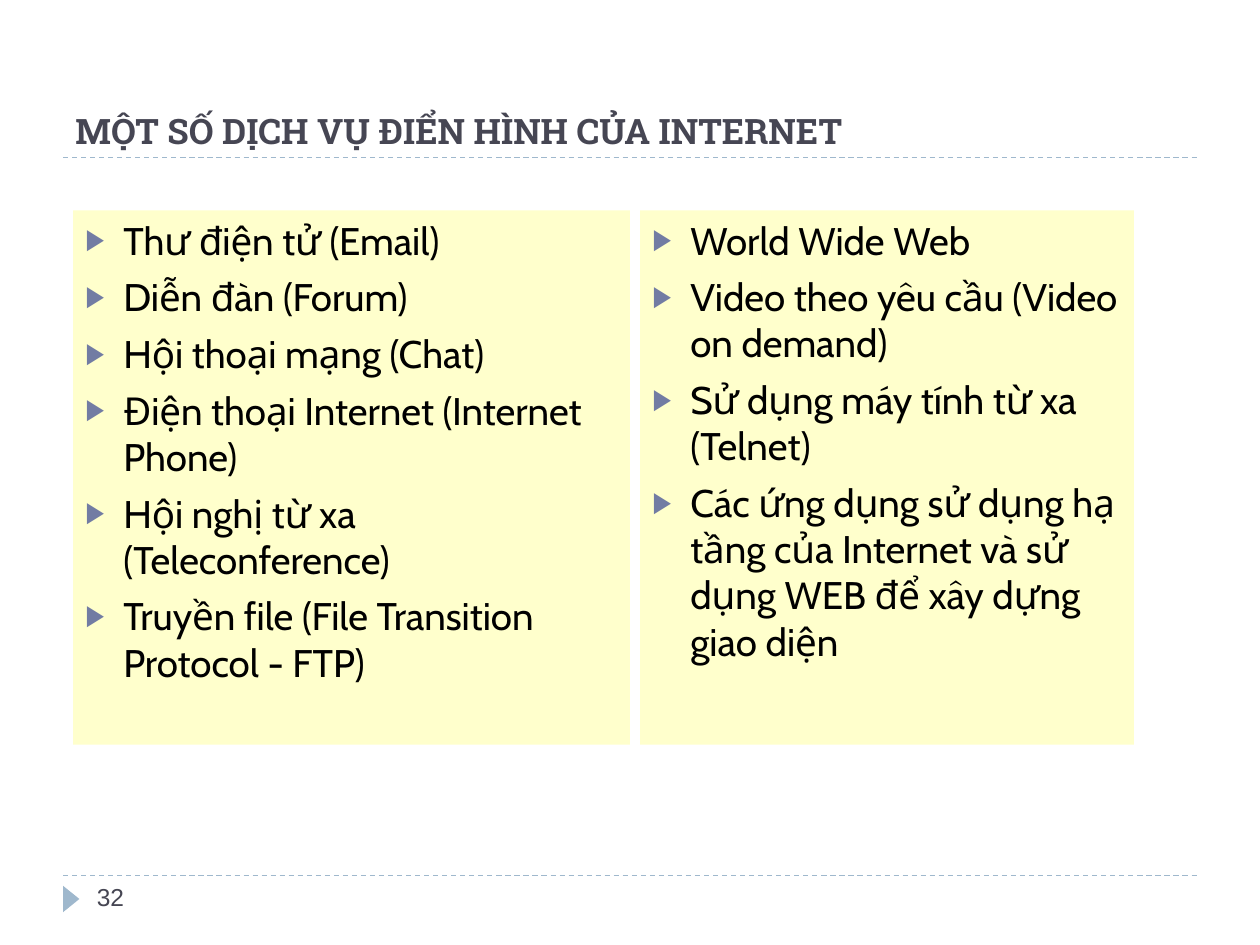
from lxml.etree import SubElement
from pptx import Presentation
from pptx.dml.color import RGBColor
from pptx.enum.dml import MSO_LINE
from pptx.enum.shapes import MSO_CONNECTOR, MSO_SHAPE
from pptx.enum.text import MSO_ANCHOR, PP_ALIGN
from pptx.oxml.ns import qn
from pptx.util import Inches, Pt

INK = RGBColor(0x46, 0x46, 0x53)
BLACK = RGBColor(0, 0, 0)
PALE_BLUE = RGBColor(0x9F, 0xB8, 0xCD)
BULLET = RGBColor(0x72, 0x7C, 0xA3)
CREAM = RGBColor(0xFF, 0xFF, 0xCC)


def write(tf, lines, font, size, color, bold=False, anchor=MSO_ANCHOR.TOP, bullet=False):
    tf.word_wrap = True
    tf.vertical_anchor = anchor
    for i, text in enumerate(lines):
        p = tf.paragraphs[0] if i == 0 else tf.add_paragraph()
        p.alignment = PP_ALIGN.LEFT
        if i:
            p.space_before = Pt(6)
        if bullet:
            pPr = p._p.get_or_add_pPr()
            pPr.set("marL", str(Inches(0.3)))
            pPr.set("indent", str(Inches(-0.3)))
            SubElement(SubElement(pPr, qn("a:buClr")), qn("a:srgbClr"), val=str(BULLET))
            SubElement(pPr, qn("a:buSzPct"), val="76000")
            SubElement(pPr, qn("a:buFont"), typeface="Arial")
            SubElement(pPr, qn("a:buChar"), char="▶")
        r = p.add_run()
        r.text = text
        r.font.name = font
        r.font.size = Pt(size)
        r.font.bold = bold
        r.font.color.rgb = color


prs = Presentation()
prs.slide_width, prs.slide_height = Inches(10), Inches(7.5)
s = prs.slides.add_slide(prs.slide_layouts[6])

for y in (6.95, 1.25):
    rule = s.shapes.add_connector(MSO_CONNECTOR.STRAIGHT, Inches(0.5), Inches(y), Inches(9.5), Inches(y))
    rule.line.color.rgb = PALE_BLUE
    rule.line.width = Pt(0.75)
    rule.line.dash_style = MSO_LINE.DASH
    SubElement(rule._element.spPr, qn("a:effectLst"))

sp = s.shapes.add_shape(MSO_SHAPE.ISOSCELES_TRIANGLE, Inches(0.46), Inches(7.07), Inches(0.21), Inches(0.13))
sp.rotation = 90
sp.shadow.inherit = False
sp.fill.solid()
sp.fill.fore_color.rgb = PALE_BLUE
sp.line.fill.background()

title = s.shapes.add_textbox(Inches(0.5), Inches(0.25), Inches(9), Inches(1))
write(title.text_frame, ["MỘT SỐ DỊCH VỤ ĐIỂN HÌNH CỦA INTERNET"],
      font="Roboto Slab", size=20, color=INK, bold=True, anchor=MSO_ANCHOR.BOTTOM)

columns = [
    (0.58, 4.42, [
        "Thư điện tử (Email)",
        "Diễn đàn (Forum)",
        "Hội thoại mạng (Chat)",
        "Điện thoại Internet (Internet Phone)",
        "Hội nghị từ xa (Teleconference)",
        "Truyền file (File Transition Protocol - FTP)",
    ]),
    (5.08, 3.92, [
        "World Wide Web",
        "Video theo yêu cầu (Video on demand)",
        "Sử dụng máy tính từ xa (Telnet)",
        "Các ứng dụng sử dụng hạ tầng của Internet và sử dụng WEB để xây dựng giao diện",
    ]),
]
for left, width, services in columns:
    sp = s.shapes.add_shape(MSO_SHAPE.RECTANGLE, Inches(left), Inches(1.67), Inches(width), Inches(4.24))
    sp.shadow.inherit = False
    sp.fill.solid()
    sp.fill.fore_color.rgb = CREAM
    sp.line.fill.background()
    write(sp.text_frame, services, font="Cabin", size=22, color=BLACK, bullet=True)

number = s.shapes.add_textbox(Inches(0.67), Inches(6.95), Inches(2.17), Inches(0.4))
write(number.text_frame, ["32"], font="Arial", size=14, color=INK)

prs.save("out.pptx")
